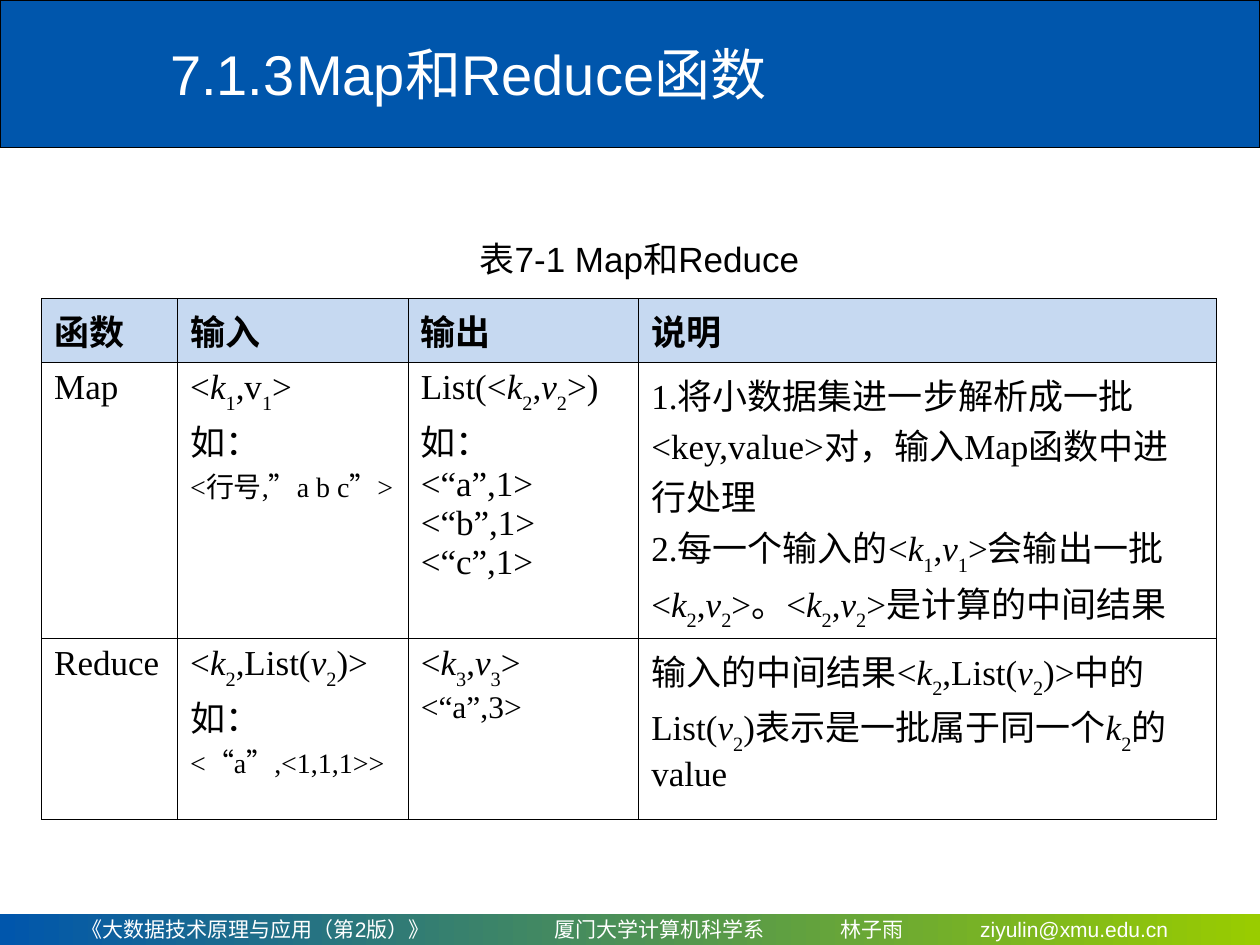
from dataclasses import dataclass
from lxml.etree import SubElement
from pptx import Presentation
from pptx.dml.color import RGBColor
from pptx.enum.shapes import MSO_SHAPE
from pptx.enum.text import MSO_ANCHOR, MSO_AUTO_SIZE, PP_ALIGN
from pptx.oxml.ns import qn
from pptx.util import Inches, Pt


@dataclass
class Theme:
    blue: str = "0056AC"
    green: str = "99CC00"
    head: str = "C6D9F1"
    white: str = "FFFFFF"
    black: str = "000000"
    sans: str = "Arial"
    serif: str = "Times New Roman"
    title: int = 32
    body: int = 20
    mid: int = 18
    small: int = 16
    foot: int = 12
    rule: float = 0.45


look = Theme()


def write(frame, lines, size=look.body, face=look.sans, color=look.black,
          bold=False, align=PP_ALIGN.LEFT, tabs=()):
    # Odd parts between bars are symbols: letters slant, digits drop.
    para = None
    for line in lines:
        text, pts = line if isinstance(line, tuple) else (line, size)
        if text.startswith("\v"):
            para.add_line_break()
            text = text[1:]
        else:
            para = frame.add_paragraph() if para else frame.paragraphs[0]
            para.alignment = align
            if tabs:
                stops = SubElement(para._p.get_or_add_pPr(), qn("a:tabLst"))
                for stop in tabs:
                    SubElement(stops, qn("a:tab"), pos=str(Inches(stop)), algn="l")
        for i, part in enumerate(text.split("|")):
            for bit in part if i % 2 else [part]:
                run = para.add_run()
                run.text = bit
                font = run.font
                font.size, font.name, font.bold = Pt(pts), face, bold
                font.color.rgb = RGBColor.from_string(color)
                if i % 2 and bit.isalpha():
                    font.italic = True
                elif i % 2:
                    run._r.get_or_add_rPr().set("baseline", "-30000")


deck = Presentation()
deck.slide_width, deck.slide_height = Inches(10), Inches(7.5)
slide = deck.slides.add_slide(deck.slide_layouts[5])
shapes = slide.shapes

band = shapes.add_shape(MSO_SHAPE.RECTANGLE, 0, 0, Inches(10), Inches(1.17))
band.shadow.inherit = False
band.fill.solid()
band.fill.fore_color.rgb = RGBColor.from_string(look.blue)
band.line.color.rgb = RGBColor.from_string(look.black)
band.line.width = Pt(0.75)

foot = shapes.add_shape(MSO_SHAPE.RECTANGLE, 0, Inches(7.25), Inches(10), Inches(0.25))
foot.shadow.inherit = False
foot.line.fill.background()
foot.fill.gradient()
foot.fill.gradient_angle = 0
for stop, place, color in zip(foot.fill.gradient_stops, (0, 1), (look.blue, look.green)):
    stop.position = place
    stop.color.rgb = RGBColor.from_string(color)
frame = foot.text_frame
frame.word_wrap = True
frame.vertical_anchor = MSO_ANCHOR.MIDDLE
frame.margin_left = Inches(0.65)
write(frame, ["《大数据技术原理与应用（第2版）》\t厦门大学计算机科学系\t林子雨\tziyulin@xmu.edu.cn"],
      size=look.foot, color=look.white, tabs=(3.75, 6.02, 7.13))

title = shapes.title
title.left, title.top = Inches(1.25), Inches(0.08)
title.width, title.height = Inches(8.75), Inches(1)
title.text_frame.vertical_anchor = MSO_ANCHOR.MIDDLE
write(title.text_frame, ["7.1.3\tMap和Reduce函数"], size=look.title,
      color=look.white, tabs=range(8))
shapes._spTree.append(title._element)

rows = [
    [["函数"], ["输入"], ["输出"], ["说明"]],
    [["Map"],
     ["<|k1|,v|1|>", "如：", ("<行号,”a b c”>", look.small)],
     ["List(<|k2|,|v2|>)", "如：", "<“a”,1>", "<“b”,1>", "<“c”,1>"],
     ["1.将小数据集进一步解析成一批<key,value>对，输入Map函数中进行处理",
      "2.每一个输入的<|k1|,|v1|>会输出一批<|k2|,|v2|>。<|k2|,|v2|>是计算的中间结果"]],
    [["Reduce"],
     ["<|k2|,List(|v2|)>", "如：", ("\v<“a”,<1,1,1>>", look.small)],
     ["<|k3|,|v3|>", ("<“a”,3>", look.mid)],
     ["输入的中间结果<|k2|,List(|v2|)>中的List(|v2|)表示是一批属于同一个|k2|的value"]],
]
grid = shapes.add_table(3, 4, Inches(0.33), Inches(2.37), Inches(9.33), Inches(3.55)).table
grid.horz_banding = False
for col, width in zip(grid.columns, (1.08, 1.83, 1.83, 4.58)):
    col.width = Inches(width)
for row, height in zip(grid.rows, (0.44, 1.89, 1.22)):
    row.height = Inches(height)
for r, row in enumerate(rows):
    for c, lines in enumerate(row):
        cell = grid.cell(r, c)
        props = cell._tc.get_or_add_tcPr()
        for side in ("lnL", "lnR", "lnT", "lnB"):
            edge = SubElement(props, qn(f"a:{side}"), w=str(Pt(look.rule)))
            SubElement(SubElement(edge, qn("a:solidFill")), qn("a:srgbClr"), val=look.black)
        if r == 0:
            cell.fill.solid()
            cell.fill.fore_color.rgb = RGBColor.from_string(look.head)
        else:
            cell.fill.background()
        write(cell.text_frame, lines, face=look.serif, bold=r == 0)

label = shapes.add_textbox(Inches(3.61), Inches(1.83), Inches(2.93), Inches(0.44))
label.text_frame.word_wrap = False
label.text_frame.auto_size = MSO_AUTO_SIZE.SHAPE_TO_FIT_TEXT
label.text_frame.vertical_anchor = MSO_ANCHOR.MIDDLE
write(label.text_frame, ["表7-1 Map和Reduce"], align=PP_ALIGN.CENTER)

deck.save("out.pptx")
